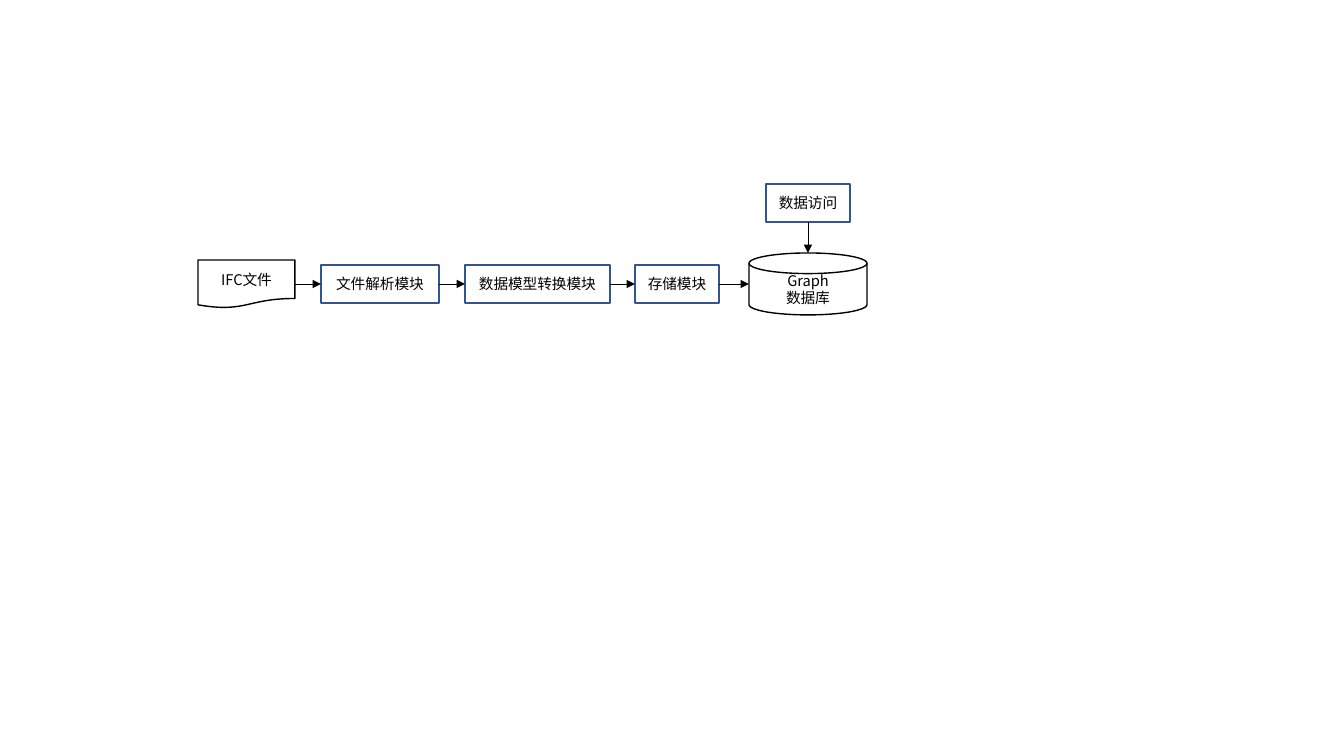
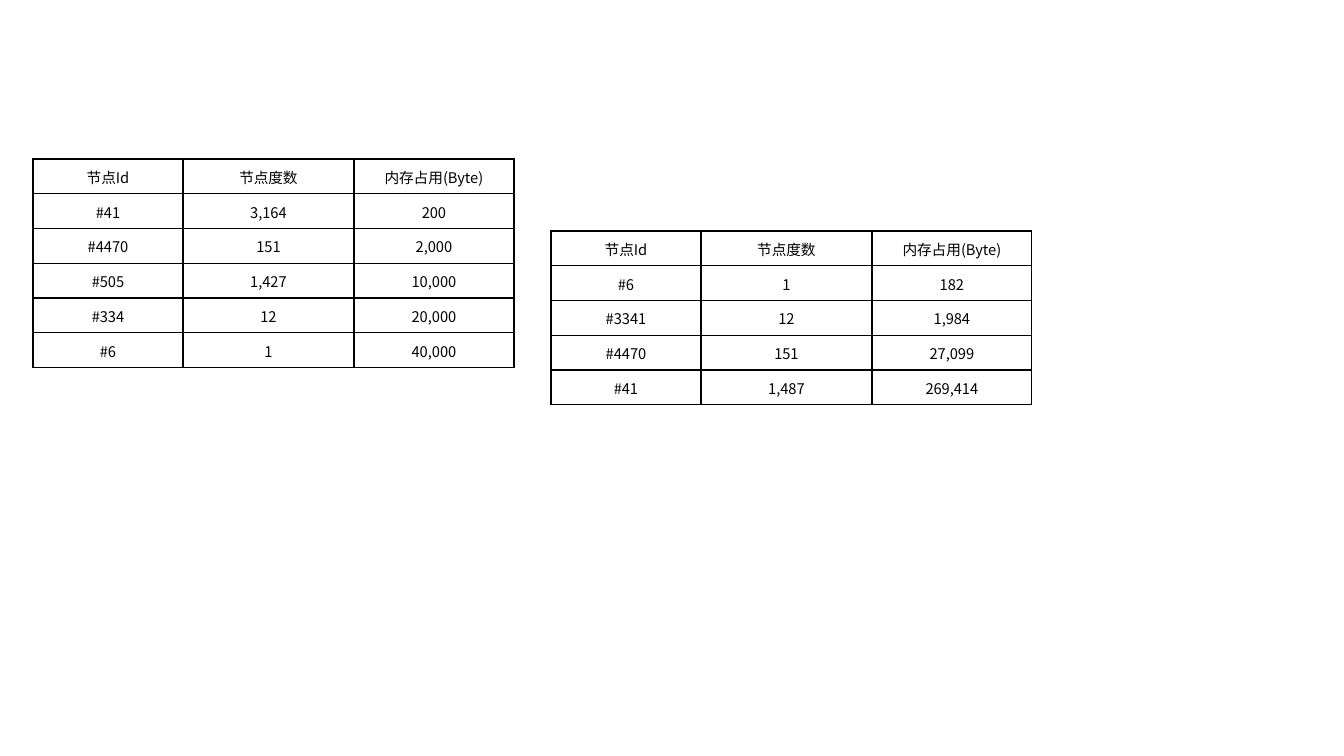
from lxml.etree import SubElement
from pptx import Presentation
from pptx.dml.color import RGBColor
from pptx.enum.shapes import MSO_CONNECTOR as Line, MSO_SHAPE as Kind
from pptx.enum.text import MSO_ANCHOR as Anchor, PP_ALIGN as Align
from pptx.oxml import parse_xml
from pptx.oxml.ns import nsdecls, qn
from pptx.util import Emu, Pt

PX = 914400 / 100.8
FONT = "Noto Sans CJK SC"
BLACK, WHITE, BLUE = "000000", "FFFFFF", "325491"


def paint(part, color):
    """Give a fill or a line one solid colour."""
    fill = getattr(part, "fill", part)
    fill.solid()
    fill.fore_color.rgb = RGBColor.from_string(color)


def write(frame, text):
    """Fill a text frame with centred paragraphs, one per line of text."""
    for i, words in enumerate(text.split("\n")):
        para = frame.add_paragraph() if i else frame.paragraphs[0]
        para.alignment = Align.CENTER
        run = para.add_run()
        run.text = words
        run.font.size = Pt(10.5)
        run.font.name = FONT
        paint(run.font, BLACK)
        SubElement(run.font._element, qn("a:ea"), typeface=FONT)


deck = Presentation()
deck.slide_width, deck.slide_height = Emu(12192000), Emu(6858000)
blank = deck.slide_layouts[6]

# Slide 1: from file to database
flow = deck.slides.add_slide(blank)
MID = 284
TOP, LEFT, BOTTOM, RIGHT = range(4)
DISK_TOP, DISK_LEFT = 1, 2

# name: text, preset, line colour, left, middle, width, height
nodes = {
    "file": ("IFC文件", Kind.FLOWCHART_DOCUMENT, BLACK, 198, MID, 97, 48),
    "parse": ("文件解析模块", Kind.FLOWCHART_PROCESS, BLUE, 321, MID, 118, 38),
    "model": ("数据模型转换模块", Kind.FLOWCHART_PROCESS, BLUE, 465, MID, 145, 38),
    "store": ("存储模块", Kind.FLOWCHART_PROCESS, BLUE, 635, MID, 84, 38),
    "disk": ("Graph\n数据库", Kind.FLOWCHART_MAGNETIC_DISK, BLACK, 749, MID, 118, 62),
    "access": ("数据访问", Kind.FLOWCHART_PROCESS, BLUE, 766, 203, 84, 38),
}
shapes = {}
for name, (text, kind, color, left, mid, width, height) in nodes.items():
    box = [Emu(int(v * PX)) for v in (left, mid - height // 2, width, height)]
    shape = flow.shapes.add_shape(kind, *box)
    shape.shadow.inherit = False
    paint(shape.fill, WHITE)
    paint(shape.line, color)
    shape.line.width = Pt(1)
    shape.text_frame.word_wrap = True
    shape.text_frame.vertical_anchor = Anchor.MIDDLE
    write(shape.text_frame, text)
    shapes[name] = shape

links = [
    ("file", RIGHT, "parse", LEFT),
    ("parse", RIGHT, "model", LEFT),
    ("model", RIGHT, "store", LEFT),
    ("store", RIGHT, "disk", DISK_LEFT),
    ("access", BOTTOM, "disk", DISK_TOP),
]
for start, leave, end, enter in links:
    goal = shapes[end]
    arrow = flow.shapes.add_connector(Line.STRAIGHT, 0, 0, 0, 0)
    arrow.begin_connect(shapes[start], leave)
    arrow.end_connect(goal, enter)
    # The disk numbers its sites differently, so the end is placed by direction.
    if leave == BOTTOM:
        arrow.end_x, arrow.end_y = goal.left + goal.width // 2, goal.top
    else:
        arrow.end_x, arrow.end_y = goal.left, goal.top + goal.height // 2
    paint(arrow.line, BLACK)
    arrow.line.width = Pt(0.5)
    SubElement(arrow.line._get_or_add_ln(), qn("a:tailEnd"), type="triangle")
    SubElement(arrow._element.spPr, qn("a:effectLst"))

# Slide 2: node degree and memory use
stats = deck.slides.add_slide(blank)
HEAD = ("节点Id", "节点度数", "内存占用(Byte)")
COLS = (150, 171, 160)
ROW = int(174 * PX / 5)

tables = [
    (33, 159, [
        ("#41", "3,164", "200"),
        ("#4470", "151", "2,000"),
        ("#505", "1,427", "10,000"),
        ("#334", "12", "20,000"),
        ("#6", "1", "40,000"),
    ]),
    (551, 231, [
        ("#6", "1", "182"),
        ("#3341", "12", "1,984"),
        ("#4470", "151", "27,099"),
        ("#41", "1,487", "269,414"),
    ]),
]
for left, top, body in tables:
    rows = [HEAD, *body]
    box = [Emu(int(v * PX)) for v in (left, top, sum(COLS))]
    table = stats.shapes.add_table(len(rows), len(COLS), *box, Emu(ROW * len(rows))).table
    table.first_row = table.horz_banding = False
    for col, width in zip(table.columns, COLS):
        col.width = Emu(int(width * PX))
    for row, texts in zip(table.rows, rows):
        row.height = Emu(ROW)
        for cell, text in zip(row.cells, texts):
            write(cell.text_frame, text)
            cell.vertical_anchor = Anchor.MIDDLE
            cell.margin_left = cell.margin_right = cell.margin_top = Emu(int(PX))
            cell.margin_bottom = 0
            paint(cell.fill, WHITE)
            props = cell._tc.get_or_add_tcPr()
            for i, side in enumerate(("lnL", "lnR", "lnT", "lnB")):
                props.insert(i, parse_xml(
                    f'<a:{side} {nsdecls("a")} w="{Pt(1)}"><a:solidFill>'
                    f'<a:srgbClr val="{BLACK}"/></a:solidFill></a:{side}>'))

deck.save("out.pptx")
